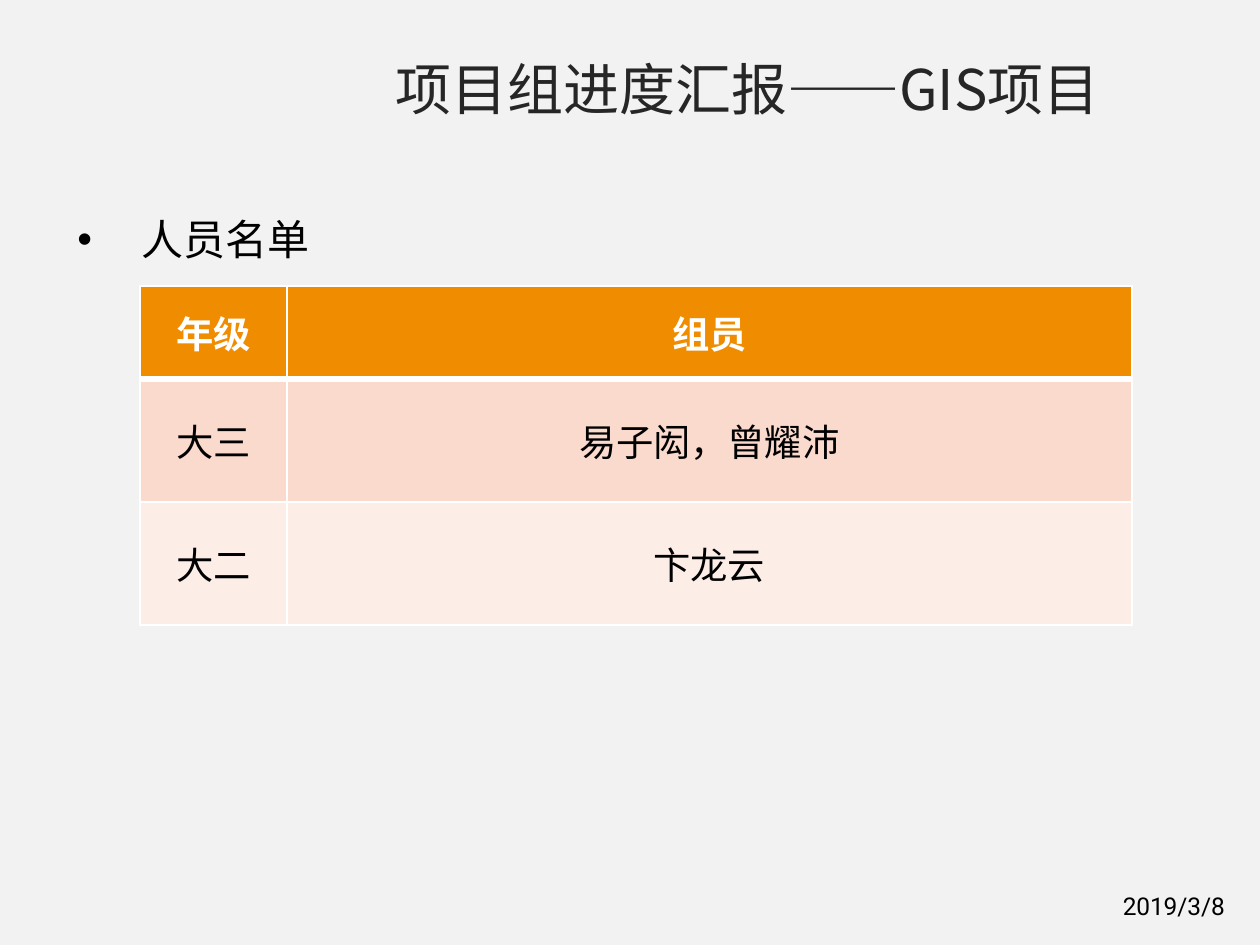
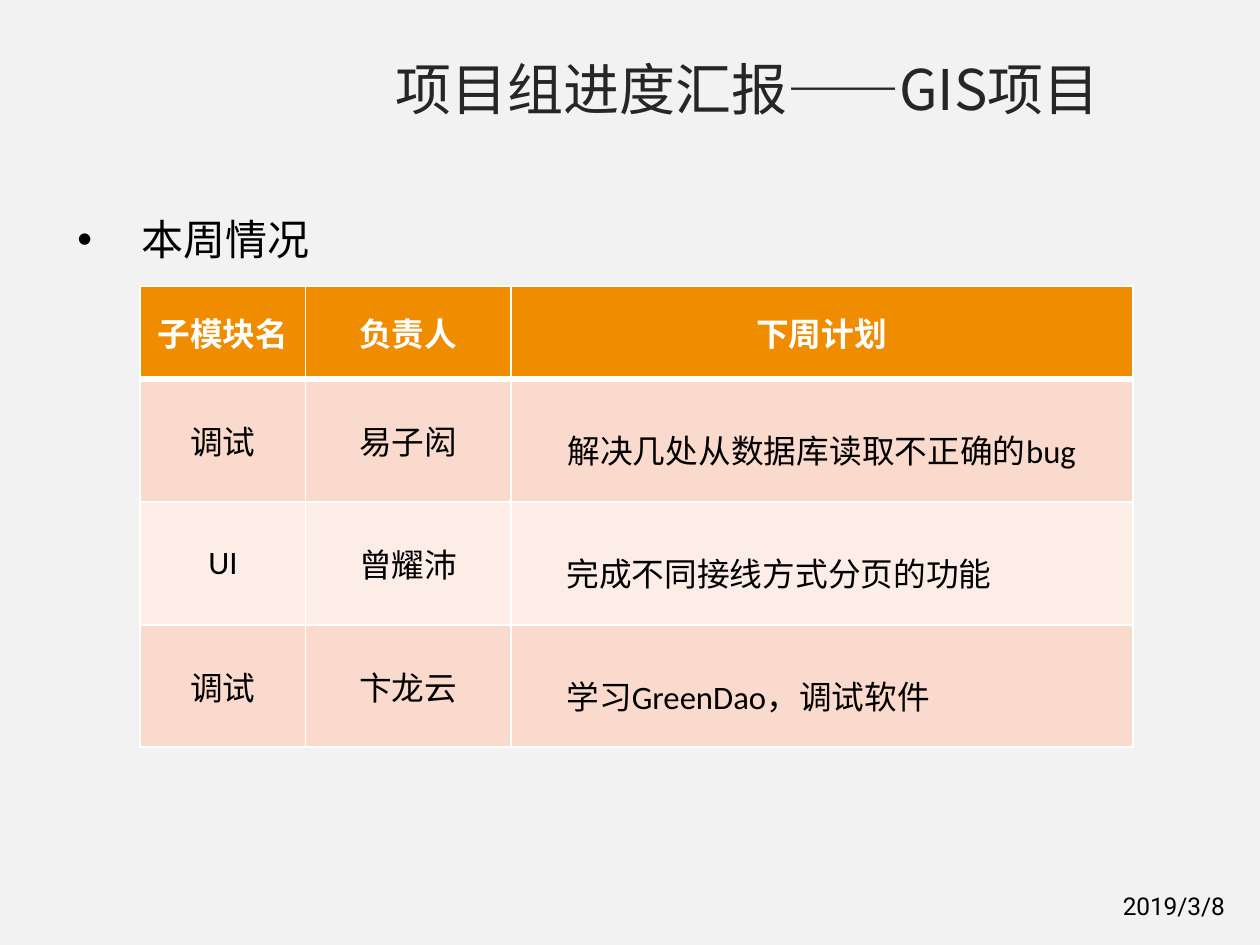
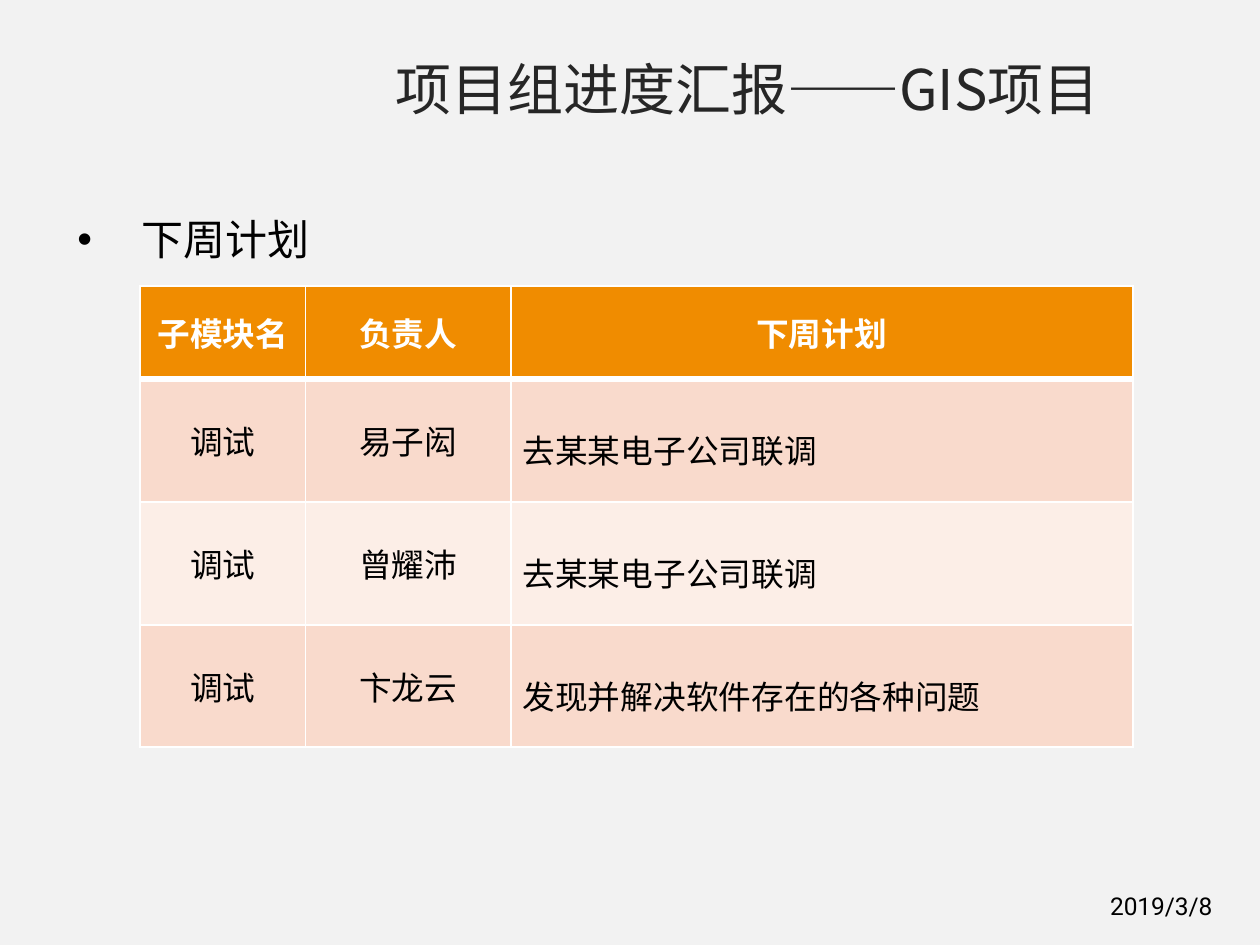
from dataclasses import dataclass

from lxml import etree
from pptx import Presentation
from pptx.dml.color import RGBColor
from pptx.enum.text import MSO_ANCHOR, PP_ALIGN
from pptx.oxml.ns import qn
from pptx.util import Inches, Pt

LEFT, CENTER = PP_ALIGN.LEFT, PP_ALIGN.CENTER
MIDDLE = MSO_ANCHOR.MIDDLE
BLANK_LAYOUT = 6
WIDTH = 7.5
HEIGHT = WIDTH * 3 / 4


@dataclass(frozen=True)
class Theme:
    paper: str = "F2F2F2"
    title: str = "262626"
    ink: str = "000000"
    white: str = "FFFFFF"
    header: str = "F08C00"
    bands: tuple = ("F9DACC", "FCEEE7")
    cjk: str = "Noto Sans CJK SC"
    table_font: str = "Calibri"
    date_font: str = "Roboto"
    bullet_font: str = "Arial"
    title_size: float = 24
    heading_size: float = 18
    date_size: float = 10.5
    thin: float = 1
    thick: float = 3


THEME = Theme()

# Boxes and table tracks are percentages of the slide's width and height
TITLE_BOX = (30.05, 4.9, 60, 8.9)
HEADING_BOX = (4.83, 21.7, 27.33, 8.7)
TABLE_CORNER = (11.15, 30.25)
HEADER_ROW, BODY_ROW = 9.85, 13
MEMBER_COLS = (11.6, 67.1)
TASK_COLS = (13.1, 16.3, 49.35)
DATE_TOP, DATE_HEIGHT = 93.4, 4.98

# Cell margins in inches
SIDE, EDGE = 0.07, 0.04
PLAN_TOP, PLAN_INDENT = 0.15, 0.33

TITLE = "项目组进度汇报——GIS项目"
DATE = "2019/3/8"
TASK_HEADER = ("子模块名", "负责人", "下周计划")


def x(share):
    return Inches(WIDTH * share / 100)


def y(share):
    return Inches(HEIGHT * share / 100)


def add_run(p, text, size, font, color, bold=False):
    r = p.add_run()
    r.text = text
    r.font.size, r.font.name, r.font.bold = Pt(size), font, bold
    r.font.color.rgb = RGBColor.from_string(color)
    east_asian = etree.SubElement(r._r.get_or_add_rPr(), qn("a:ea"))
    east_asian.set("typeface", THEME.cjk)


def add_text(s, box, text, size, font, color):
    left, top, width, height = box
    tf = s.shapes.add_textbox(x(left), y(top), x(width), y(height)).text_frame
    tf.word_wrap = True
    p = tf.paragraphs[0]
    add_run(p, text, size, font, color)
    return p


def add_heading(s, text):
    p = add_text(s, HEADING_BOX, text, THEME.heading_size, THEME.cjk, THEME.ink)
    props = p._p.get_or_add_pPr()
    indent = Inches(0.38)
    props.set("marL", str(indent))
    props.set("indent", str(-indent))
    etree.SubElement(props, qn("a:buFont")).set("typeface", THEME.bullet_font)
    etree.SubElement(props, qn("a:buChar")).set("char", "•")


def set_borders(cell, top, bottom):
    props = cell._tc.get_or_add_tcPr()
    widths = {"lnL": THEME.thin, "lnR": THEME.thin, "lnT": top, "lnB": bottom}
    for i, (side, width) in enumerate(widths.items()):
        line = etree.Element(qn("a:" + side))
        line.set("w", str(Pt(width)))
        fill = etree.SubElement(line, qn("a:solidFill"))
        etree.SubElement(fill, qn("a:srgbClr")).set("val", THEME.white)
        props.insert(i, line)


def fill_cell(cell, text, row, size, align=CENTER, left=SIDE, top=EDGE):
    is_header = row == 0
    color = THEME.header if is_header else THEME.bands[(row - 1) % 2]
    cell.fill.solid()
    cell.fill.fore_color.rgb = RGBColor.from_string(color)
    set_borders(cell, THEME.thick if row == 1 else THEME.thin,
                THEME.thick if is_header else THEME.thin)
    cell.vertical_anchor = MIDDLE
    cell.margin_left, cell.margin_right = Inches(left), Inches(SIDE)
    cell.margin_top, cell.margin_bottom = Inches(top), Inches(EDGE)
    p = cell.text_frame.paragraphs[0]
    p.alignment = align
    add_run(p, text, size, THEME.table_font,
            THEME.white if is_header else THEME.ink, is_header)


def add_grid(s, rows, cols, size, plan_styles=()):
    """Add a table; plan_styles gives (align, left margin) of last-column body cells."""
    heights = [HEADER_ROW] + [BODY_ROW] * (len(rows) - 1)
    left, top = TABLE_CORNER
    table = s.shapes.add_table(len(rows), len(cols), x(left), y(top),
                               x(sum(cols)), y(sum(heights))).table
    table.first_row = table.horz_banding = False
    for column, width in zip(table.columns, cols):
        column.width = x(width)
    for i, (texts, height) in enumerate(zip(rows, heights)):
        table.rows[i].height = y(height)
        for j, text in enumerate(texts):
            style = {}
            if plan_styles and i > 0 and j == len(cols) - 1:
                align, indent = plan_styles[i - 1]
                style = {"align": align, "left": indent, "top": PLAN_TOP}
            fill_cell(table.cell(i, j), text, i, size, **style)


def add_report_slide(prs, heading, date_left=87.8):
    s = prs.slides.add_slide(prs.slide_layouts[BLANK_LAYOUT])
    add_text(s, TITLE_BOX, TITLE, THEME.title_size, THEME.cjk, THEME.title)
    add_heading(s, heading)
    add_text(s, (date_left, DATE_TOP, 100 - date_left, DATE_HEIGHT), DATE,
             THEME.date_size, THEME.date_font, THEME.ink)
    return s


def main():
    prs = Presentation()
    prs.slide_width, prs.slide_height = Inches(WIDTH), Inches(HEIGHT)
    paper = prs.slide_master.background.fill
    paper.solid()
    paper.fore_color.rgb = RGBColor.from_string(THEME.paper)

    # Members
    s = add_report_slide(prs, "人员名单")
    add_grid(s, [("年级", "组员"), ("大三", "易子闳，曾耀沛"), ("大二", "卞龙云")],
             MEMBER_COLS, 16)

    # This week
    s = add_report_slide(prs, "本周情况")
    add_grid(s, [TASK_HEADER,
                 ("调试", "易子闳", "解决几处从数据库读取不正确的bug"),
                 ("UI", "曾耀沛", "完成不同接线方式分页的功能"),
                 ("调试", "卞龙云", "学习GreenDao，调试软件")],
             TASK_COLS, 14,
             [(CENTER, SIDE), (LEFT, PLAN_INDENT), (LEFT, PLAN_INDENT)])

    # Next week
    s = add_report_slide(prs, "下周计划", date_left=86.8)
    add_grid(s, [TASK_HEADER,
                 ("调试", "易子闳", "去某某电子公司联调"),
                 ("调试", "曾耀沛", "去某某电子公司联调"),
                 ("调试", "卞龙云", "发现并解决软件存在的各种问题")],
             TASK_COLS, 14, [(LEFT, SIDE)] * 3)

    prs.save("out.pptx")


main()
